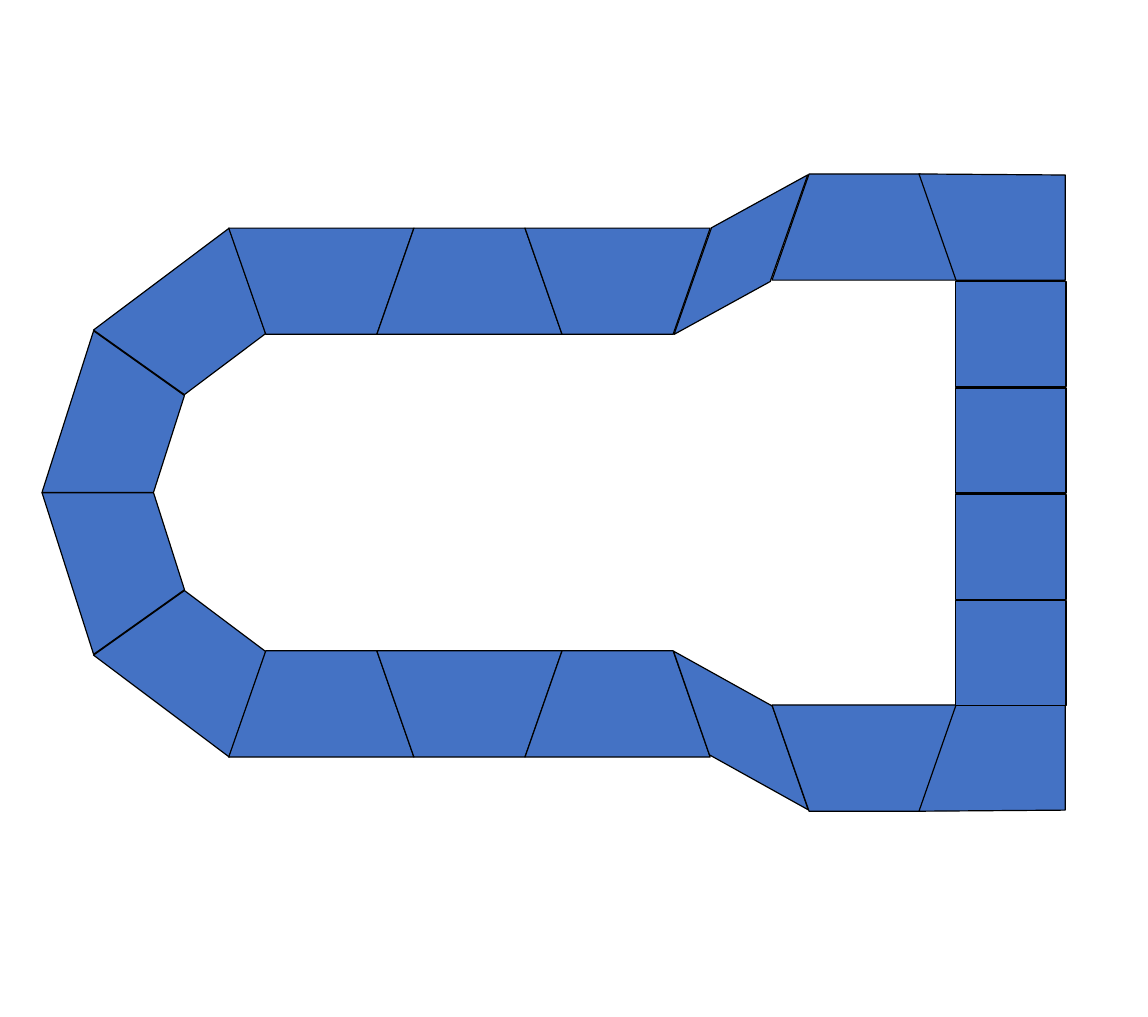
from lxml import etree
from pptx import Presentation
from pptx.dml.color import RGBColor
from pptx.enum.shapes import MSO_CONNECTOR, MSO_SHAPE
from pptx.oxml.ns import qn
from pptx.util import Inches, Pt

TRAP = MSO_SHAPE.FLOWCHART_MANUAL_OPERATION
SLANT = MSO_SHAPE.PARALLELOGRAM
RECT = MSO_SHAPE.RECTANGLE
LINE = MSO_CONNECTOR.STRAIGHT
COLORS = {"tile": "4472C4", "edge": "000000"}
COLS, ROWS = 28, 6


class Grid:
    def __init__(self, left, top, width, height):
        self.left, self.top = left, top
        self.col, self.row = width / COLS, height / ROWS

    def point(self, x, y):
        return int(self.left + x * self.col), int(self.top + y * self.row)

    def size(self, wide, high):
        return int(wide * self.col), int(high * self.row)


def edge(line, width):
    line.color.rgb = RGBColor.from_string(COLORS["edge"])
    line.width = Pt(width)


def paint(shape):
    shape.shadow.inherit = False
    shape.fill.solid()
    shape.fill.fore_color.rgb = RGBColor.from_string(COLORS["tile"])
    edge(shape.line, 1)


def add_tile(slide, grid, kind, x, y, wide, high, turn=0):
    left, top = grid.point(x - wide / 2, y - high / 2)
    tile = slide.shapes.add_shape(kind, left, top, *grid.size(wide, high))
    tile.rotation = turn
    paint(tile)
    return tile


def add_pair(slide, grid, x, y, wide, high, turn):
    add_tile(slide, grid, TRAP, x, y, wide, high, turn)
    add_tile(slide, grid, TRAP, x, ROWS - y, wide, high, (540 - turn) % 360)


def add_bend(slide, grid):
    for x, y, turn in ((2.29, 2.39, 287.7), (4.31, 1.39, 323.1)):
        add_pair(slide, grid, x, y, 4.58, 1, turn)


def add_arms(slide, grid):
    for i in range(3):
        add_pair(slide, grid, 7.77 + 4 * i, 1.01, 5, 1, 180 * (i % 2))


def add_flare(slide, grid):
    for y, turn in ((0.76, 331.2), (ROWS - 0.76, 70.9)):
        link = add_tile(slide, grid, SLANT, 19.1, y, 5.24, 0.71, turn)
        link.adjustments[0] = 1.117
    add_pair(slide, grid, 22.44, 0.5, 5, 1, 180)


def add_corners(slide, grid):
    outline = ((23.91, 0), (24.91, 1), (27.86, 1), (27.86, 0.01))
    for flip in (False, True):
        spots = [grid.point(x, ROWS - y if flip else y) for x, y in outline]
        pen = slide.shapes.build_freeform(*spots[0])
        pen.add_line_segments(spots[1:], close=True)
        paint(pen.convert_to_shape())


def add_wall(slide, grid):
    for row in (2, 3, 4):
        ends = grid.point(24.89, row) + grid.point(27.86, row)
        seam = slide.shapes.add_connector(LINE, *ends)
        edge(seam.line, 0.5)
        etree.SubElement(seam._element.spPr, qn("a:effectLst"))
    for row in range(1, 5):
        add_tile(slide, grid, RECT, 26.39, row + 0.51, 2.98, 0.99)


def add_ring(slide, left, top, width, height):
    grid = Grid(left, top, width, height)
    for part in (add_bend, add_arms, add_flare, add_corners, add_wall):
        part(slide, grid)


deck = Presentation()
deck.slide_width, deck.slide_height = Inches(13.33), Inches(11.81)
page = deck.slides.add_slide(deck.slide_layouts[6])
add_ring(page, Inches(0.39), Inches(2.02), Inches(12.04), Inches(7.4))
deck.save("out.pptx")
